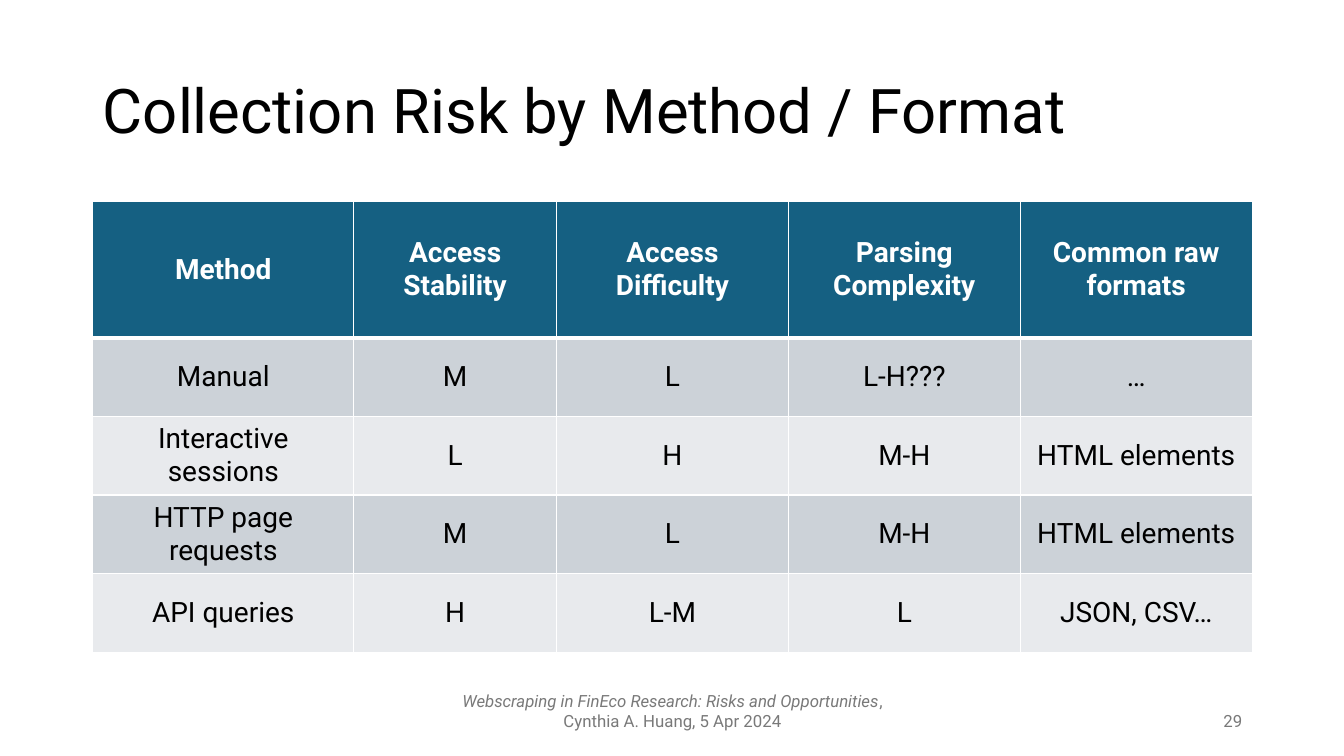
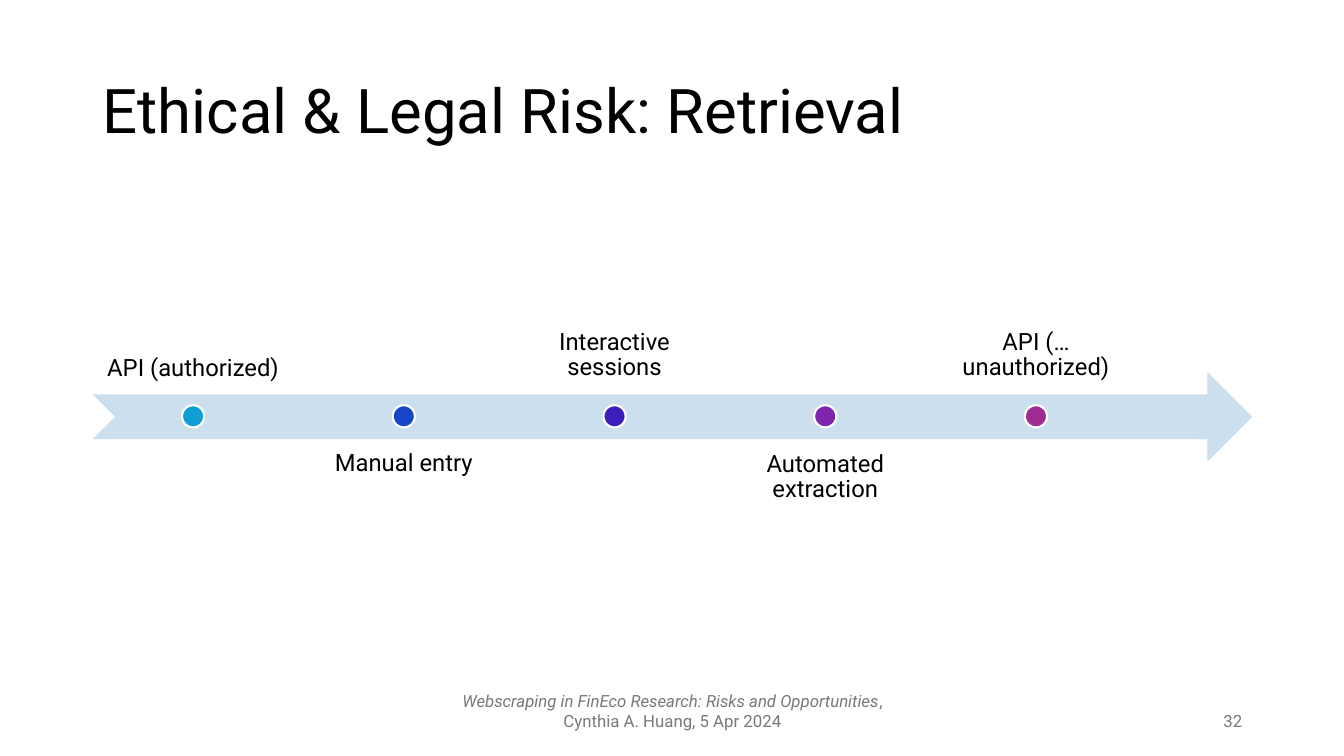
import pptx
import pptx.util
import pptx.dml.color
import pptx.enum.shapes
import pptx.enum.text
import pptx.oxml
import pptx.oxml.ns

Inches, Pt = pptx.util.Inches, pptx.util.Pt
ALIGN, ANCHOR = pptx.enum.text.PP_ALIGN, pptx.enum.text.MSO_ANCHOR
SHAPE = pptx.enum.shapes.MSO_SHAPE
RGB = pptx.dml.color.RGBColor.from_string

# Shared style
FONT = "Roboto"
COLORS = {
    "text": "000000", "white": "FFFFFF", "footer": "797979",
    "header": "156082", "odd_row": "CCD2D8", "even_row": "E8EAED",
    "arrow": "CCDFEF",
}
LEFT, WIDTH = 0.92, 11.5


def style_text(frame, size, color, align, anchor, bold=False, spacing=None):
    """Format every paragraph and run of a text frame."""
    frame.word_wrap = True
    frame.vertical_anchor = anchor
    for paragraph in frame.paragraphs:
        paragraph.alignment = align
        paragraph.line_spacing = spacing
        for run in paragraph.runs:
            run.font.name = FONT
            run.font.size = Pt(size)
            run.font.bold = bold
            run.font.color.rgb = RGB(COLORS[color])


def add_page(title, number):
    """Add a slide with its title, footer and page number."""
    slide = deck.slides.add_slide(deck.slide_layouts[5])
    heading = slide.shapes.title
    heading.left, heading.top = Inches(LEFT), Inches(0.4)
    heading.width, heading.height = Inches(WIDTH), Inches(1.45)
    heading.text_frame.text = title
    style_text(heading.text_frame, 44, "text", ALIGN.LEFT, ANCHOR.MIDDLE, spacing=0.9)

    footer = slide.shapes.add_textbox(Inches(4.42), Inches(6.85), Inches(4.5), Inches(0.4))
    credit = footer.text_frame.paragraphs[0]
    talk = credit.add_run()
    talk.text = "Webscraping in FinEco Research: Risks and Opportunities"
    talk.font.italic = True
    credit.add_run().text = ", Cynthia A. Huang, 5 Apr 2024"
    style_text(footer.text_frame, 12, "footer", ALIGN.CENTER, ANCHOR.MIDDLE)

    page = slide.shapes.add_textbox(Inches(9.42), Inches(6.95), Inches(3), Inches(0.4))
    page.text_frame.text = str(number)
    style_text(page.text_frame, 12, "footer", ALIGN.RIGHT, ANCHOR.MIDDLE)
    return slide


deck = pptx.Presentation()
deck.slide_width, deck.slide_height = Inches(13.33), Inches(7.5)

# Slide 1: risk table
slide = add_page("Collection Risk by Method / Format", 29)
risk_rows = [
    ["Method", "Access Stability", "Access\nDifficulty", "Parsing Complexity", "Common raw formats"],
    ["Manual", "M", "L", "L-H???", "…"],
    ["Interactive sessions", "L", "H", "M-H", "HTML elements"],
    ["HTTP page requests", "M", "L", "M-H", "HTML elements"],
    ["API queries", "H", "L-M", "L", "JSON, CSV…"],
]
column_widths = [2.59, 2.01, 2.3, 2.3, 2.3]
row_heights = [1.35] + [0.78] * 4
risk_table = slide.shapes.add_table(
    len(risk_rows), len(column_widths),
    Inches(LEFT), Inches(2), Inches(WIDTH), Inches(sum(row_heights))).table
for column, width in zip(risk_table.columns, column_widths):
    column.width = Inches(width)
for row, height in zip(risk_table.rows, row_heights):
    row.height = Inches(height)

for r, texts in enumerate(risk_rows):
    is_header = r == 0
    fill = "header" if is_header else "odd_row" if r % 2 else "even_row"
    # White rules, heavier between header and body
    rules = {"L": 1, "R": 1, "T": 3 if r == 1 else 1, "B": 3 if is_header else 1}
    for c, text in enumerate(texts):
        cell = risk_table.cell(r, c)
        cell.text_frame.text = text
        style_text(cell.text_frame, 20, "white" if is_header else "text",
                   ALIGN.CENTER, ANCHOR.MIDDLE, bold=is_header)
        cell.vertical_anchor = ANCHOR.MIDDLE
        properties = cell._tc.get_or_add_tcPr()
        for side, points in rules.items():
            properties.append(pptx.oxml.parse_xml(
                f'<a:ln{side} {pptx.oxml.ns.nsdecls("a")} w="{Pt(points)}"><a:solidFill>'
                f'<a:srgbClr val="{COLORS["white"]}"/></a:solidFill></a:ln{side}>'))
        cell.fill.solid()
        cell.fill.fore_color.rgb = RGB(COLORS[fill])

# Slide 2: risk scale along an arrow
slide = add_page("Ethical & Legal Risk: Retrieval", 32)
scale = slide.shapes.add_shape(
    SHAPE.NOTCHED_RIGHT_ARROW, Inches(LEFT), Inches(3.69), Inches(WIDTH), Inches(0.89))
scale.shadow.inherit = False
scale.fill.solid()
scale.fill.fore_color.rgb = RGB(COLORS["arrow"])
scale.line.fill.background()

methods = [
    ("API (authorized)", "0F9ED5"),
    ("Manual entry", "1745C7"),
    ("Interactive sessions", "3C1EBA"),
    ("Automated extraction", "7D25AD"),
    ("API (…unauthorized)", "A02B93"),
]
STEP, LABEL_WIDTH, DOT = 2.09, 1.99, 0.22
for i, (method, color) in enumerate(methods):
    # Labels alternate above and below the arrow
    label_left = LEFT + i * STEP
    above = i % 2 == 0
    label = slide.shapes.add_textbox(
        Inches(label_left), Inches(3.02 if above else 4.35), Inches(LABEL_WIDTH), Inches(0.89))
    frame = label.text_frame
    frame.margin_left = frame.margin_right = Inches(0.13)
    frame.margin_top = frame.margin_bottom = Inches(0.13)
    frame.text = method
    style_text(frame, 17, "text", ALIGN.CENTER,
               ANCHOR.BOTTOM if above else ANCHOR.TOP, spacing=0.9)

    dot = slide.shapes.add_shape(
        SHAPE.OVAL, Inches(label_left + (LABEL_WIDTH - DOT) / 2), Inches(4.02),
        Inches(DOT), Inches(DOT))
    dot.shadow.inherit = False
    dot.fill.solid()
    dot.fill.fore_color.rgb = RGB(color)
    dot.line.color.rgb = RGB(COLORS["white"])
    dot.line.width = Pt(1.5)

deck.save("out.pptx")
